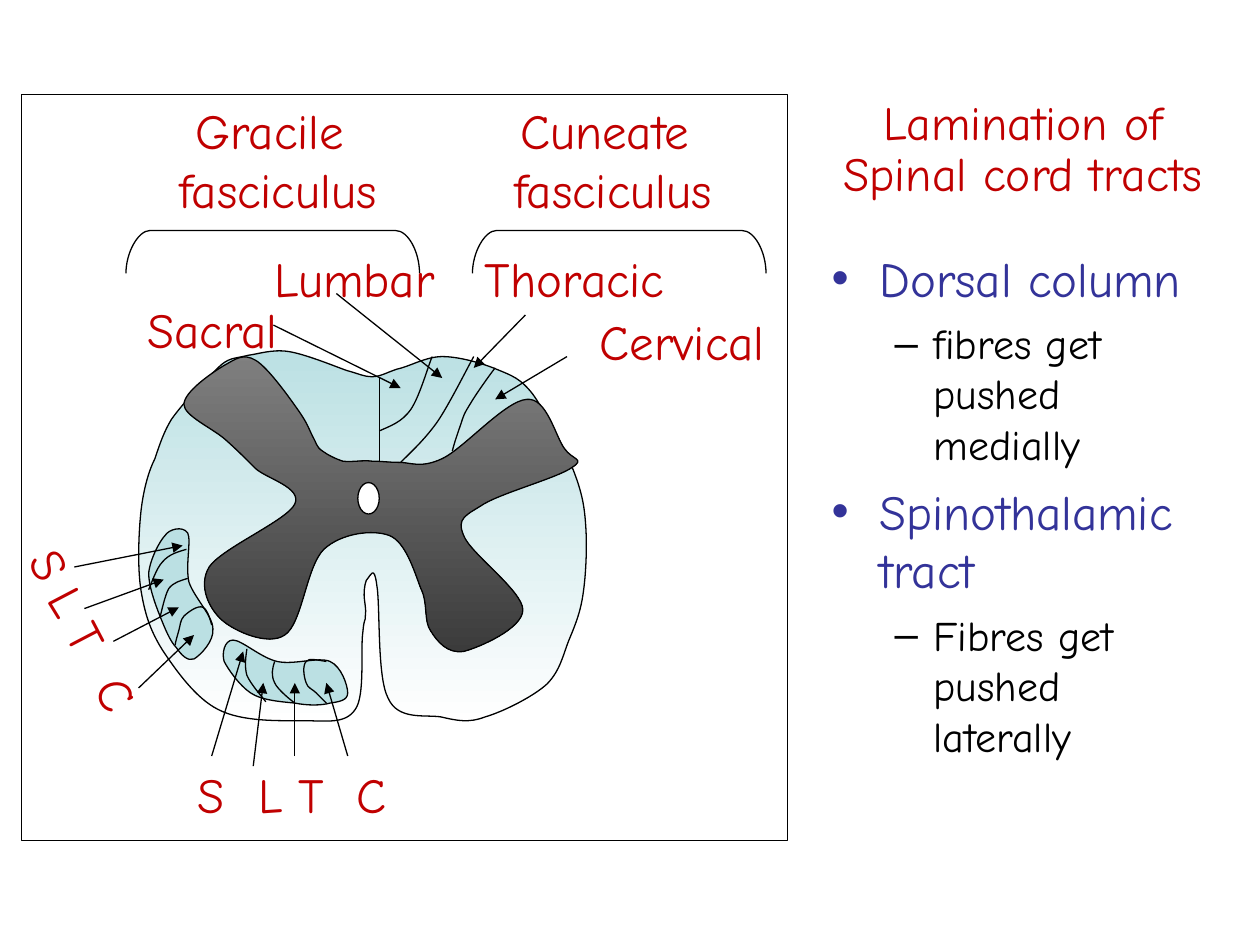
from lxml import etree
from pptx import Presentation
from pptx.dml.color import RGBColor
from pptx.enum.shapes import MSO_CONNECTOR, MSO_SHAPE
from pptx.enum.text import MSO_ANCHOR, MSO_AUTO_SIZE, PP_ALIGN
from pptx.oxml.ns import qn
from pptx.util import Inches, Pt

STRAIGHT = MSO_CONNECTOR.STRAIGHT
RECT, OVAL = MSO_SHAPE.RECTANGLE, MSO_SHAPE.OVAL
LEFT, CENTER = PP_ALIGN.LEFT, PP_ALIGN.CENTER
TOP, MIDDLE = MSO_ANCHOR.TOP, MSO_ANCHOR.MIDDLE
GROW, FIXED = MSO_AUTO_SIZE.SHAPE_TO_FIT_TEXT, MSO_AUTO_SIZE.NONE

THEME = {
    "font": "Comic Neue", "label": "C00000", "head": "333399", "ink": "000000",
    "paper": "FFFFFF", "tract": "BBE0E3", "grey": ("808080", "3B3B3B"),
    "white": ("BBE0E3", "FFFFFF"), "title_pt": 27.2, "main_pt": 28, "sub_pt": 24,
    "line_pt": 0.75,
}

prs = Presentation()
prs.slide_width, prs.slide_height = Inches(10), Inches(7.5)
CELL = prs.slide_width // 1000  # the slide is a grid of 1000 columns by 750 rows
s = prs.slides.add_slide(prs.slide_layouts[1])


def write(p, text, size=THEME["main_pt"], color=THEME["label"], align=LEFT,
          before=0, spacing=1.0, bullet=None, indent=(0, 0), tabs=()):
    """Fill a paragraph with one run; indent and tabs are in grid cells."""
    p.alignment, p.space_before, p.line_spacing = align, Pt(before), spacing
    pPr = p._p.get_or_add_pPr()
    if bullet:
        pPr.set("marL", str(indent[0] * CELL))
        pPr.set("indent", str(indent[1] * CELL))
        clr = etree.SubElement(pPr, qn("a:buClr"))
        etree.SubElement(clr, qn("a:srgbClr"), val=color)
        etree.SubElement(pPr, qn("a:buChar"), char=bullet)
    if tabs:
        tab_list = etree.SubElement(pPr, qn("a:tabLst"))
        for tab in tabs:
            etree.SubElement(tab_list, qn("a:tab"), pos=str(tab * CELL), algn="l")
    r = p.add_run()
    r.text = text
    r.font.name, r.font.size = THEME["font"], Pt(size)
    r.font.color.rgb = RGBColor.from_string(color)


def draw_curve(start, curves, fill=None):
    """Draw chained cubic curves, six numbers each; a filled outline is closed."""
    points = [pair for c in curves for pair in zip(c[::2], c[1::2])]
    builder = s.shapes.build_freeform(*start, scale=CELL)
    builder.add_line_segments(points, close=fill is not None)
    sp = builder.convert_to_shape()
    steps = sp._element.findall(".//" + qn("a:lnTo"))
    for i in range(0, len(points), 3):
        bezier = etree.Element(qn("a:cubicBezTo"))
        steps[i].addprevious(bezier)
        for step in steps[i:i + 3]:
            bezier.append(step[0])
            step.getparent().remove(step)
    sp.shadow.inherit = False
    sp.line.color.rgb = RGBColor.from_string(THEME["ink"])
    sp.line.width = Pt(THEME["line_pt"])
    if fill is None:
        sp.fill.background()
    elif isinstance(fill, str):
        sp.fill.solid()
        sp.fill.fore_color.rgb = RGBColor.from_string(fill)
    else:
        sp.fill.gradient()
        sp.fill.gradient_angle = 270
        for stop, color in zip(sp.fill.gradient_stops, fill):
            stop.color.rgb = RGBColor.from_string(color)


# Title and list
title, body = s.shapes.title, s.placeholders[1]
for sp, box, anchor in ((title, (658, 47, 308, 145), MIDDLE),
                        (body, (650, 192, 317, 495), TOP)):
    sp.left, sp.top, sp.width, sp.height = (v * CELL for v in box)
    tf = sp.text_frame
    tf.word_wrap, tf.auto_size, tf.vertical_anchor = True, FIXED, anchor
write(title.text_frame.paragraphs[0], "Lamination of Spinal cord tracts",
      size=THEME["title_pt"], align=CENTER, spacing=0.9)
tf = body.text_frame
for i, (head, detail) in enumerate((
        ("Dorsal column", "fibres get pushed medially"),
        ("Spinothalamic tract", "Fibres get pushed laterally"))):
    p = tf.add_paragraph() if i else tf.paragraphs[0]
    write(p, head, color=THEME["head"], before=7 if i else 0,
          bullet="•", indent=(38, -38))
    p = tf.add_paragraph()
    p.level = 1
    write(p, detail, size=THEME["sub_pt"], color=THEME["ink"], before=6,
          bullet="–", indent=(81, -31))

# Frame, cord, grey matter and central canal
WHITE_MATTER = (
    (127, 352, 130, 343, 136, 333), (143, 323, 154, 311, 160, 305),
    (166, 298, 168, 297, 171, 294), (175, 290, 177, 288, 181, 286),
    (185, 284, 189, 284, 197, 282), (205, 281, 216, 277, 229, 279),
    (242, 281, 264, 290, 275, 294), (286, 297, 289, 299, 295, 299),
    (302, 299, 306, 296, 315, 293), (325, 291, 338, 283, 351, 283),
    (364, 283, 382, 288, 394, 293), (406, 298, 413, 300, 423, 313),
    (433, 327, 448, 356, 455, 373), (462, 391, 464, 402, 465, 419),
    (466, 435, 465, 456, 463, 470), (461, 485, 457, 495, 452, 507),
    (447, 519, 445, 532, 434, 543), (423, 553, 399, 565, 385, 569),
    (372, 574, 363, 572, 350, 569), (337, 567, 316, 572, 308, 554),
    (299, 537, 302, 480, 299, 464), (297, 448, 294, 457, 292, 459),
    (290, 460, 289, 467, 289, 472), (289, 477, 291, 484, 290, 489),
    (290, 494, 289, 490, 288, 502), (286, 515, 290, 552, 282, 563),
    (274, 575, 259, 572, 240, 572), (222, 572, 192, 573, 173, 563),
    (155, 554, 139, 531, 129, 516), (119, 500, 115, 487, 112, 469),
    (109, 451, 110, 423, 112, 405), (114, 388, 118, 374, 123, 364))
GREY_MATTER = (
    (213, 292, 230, 316, 237, 326), (244, 336, 245, 340, 248, 346),
    (251, 351, 251, 355, 256, 358), (260, 361, 266, 364, 272, 366),
    (279, 367, 288, 365, 295, 366), (303, 366, 308, 367, 317, 367),
    (326, 367, 334, 372, 351, 364), (368, 356, 401, 318, 418, 317),
    (434, 315, 441, 347, 448, 356), (454, 365, 465, 364, 454, 371),
    (443, 379, 399, 391, 384, 400), (370, 409, 362, 411, 368, 425),
    (373, 439, 415, 469, 415, 484), (415, 499, 380, 514, 368, 517),
    (355, 519, 347, 509, 342, 501), (336, 493, 340, 479, 334, 467),
    (329, 454, 322, 430, 309, 425), (296, 420, 271, 423, 257, 436),
    (243, 450, 240, 495, 226, 504), (213, 513, 186, 501, 176, 492),
    (166, 483, 157, 465, 166, 450), (176, 435, 228, 413, 234, 400),
    (240, 387, 212, 380, 203, 372), (194, 363, 188, 357, 179, 349),
    (169, 340, 146, 330, 146, 321), (146, 311, 168, 296, 178, 290),
    (187, 285, 193, 280, 203, 286))
for kind, box in ((RECT, (17, 75, 608, 592)), (OVAL, (284, 383, 17, 25))):
    sp = s.shapes.add_shape(kind, *(v * CELL for v in box))
    sp.shadow.inherit = False
    sp.fill.solid()
    sp.fill.fore_color.rgb = RGBColor.from_string(THEME["paper"])
    sp.line.color.rgb = RGBColor.from_string(THEME["ink"])
    sp.line.width = Pt(THEME["line_pt"])
    if kind == RECT:
        draw_curve((123, 364), WHITE_MATTER, THEME["white"])
        draw_curve((203, 286), GREY_MATTER, THEME["grey"])

# Spinothalamic tracts: ventral, then lateral
draw_curve((185, 508), (
    (192, 508, 207, 522, 220, 525), (233, 528, 253, 521, 262, 525),
    (271, 529, 276, 544, 276, 550), (276, 556, 269, 557, 262, 558),
    (255, 560, 244, 560, 234, 558), (224, 557, 208, 556, 199, 550),
    (190, 544, 181, 531, 178, 525), (176, 519, 178, 508, 185, 508)), THEME["tract"])
draw_curve((149, 423), (
    (152, 429, 147, 449, 150, 462), (154, 474, 169, 489, 169, 499),
    (170, 509, 159, 520, 154, 523), (149, 525, 144, 520, 140, 514),
    (135, 509, 131, 499, 127, 489), (123, 479, 118, 465, 118, 455),
    (119, 444, 127, 429, 131, 425), (134, 420, 145, 417, 149, 423)), THEME["tract"])

# Borders between the laminae: dorsal, ventral, lateral
for start, *curves in (
        ((301, 342), (310, 338, 319, 335, 326, 325), (333, 315, 340, 290, 343, 283)),
        ((318, 367), (327, 358, 337, 349, 347, 335), (356, 322, 371, 292, 376, 283)),
        ((359, 358), (361, 350, 364, 342, 366, 336), (368, 330, 368, 329, 373, 321),
         (377, 314, 389, 297, 393, 292)),
        ((259, 525), (252, 524, 245, 522, 243, 525), (240, 528, 241, 537, 243, 542),
         (244, 546, 248, 547, 251, 550), (254, 553, 258, 557, 259, 558)),
        ((218, 525), (216, 531, 215, 536, 218, 542), (220, 547, 231, 556, 234, 558)),
        ((196, 515), (195, 522, 194, 529, 196, 536), (199, 543, 208, 553, 211, 557)),
        ((168, 496), (166, 489, 164, 483, 161, 482), (157, 480, 149, 486, 146, 489),
         (143, 492, 143, 497, 142, 500), (141, 504, 139, 510, 139, 512)),
        ((149, 459), (143, 461, 138, 462, 134, 467), (131, 472, 128, 486, 127, 490)),
        ((148, 436), (141, 438, 134, 440, 129, 446), (124, 451, 120, 464, 118, 468))):
    draw_curve(start, curves)

# Brackets over the two fasciculi
for x in (100, 375):
    draw_curve((x + 233, 217), ((x + 233, 200, x + 224, 183, x + 214, 183),
                                (x + 214, 183, x + 19, 183, x + 19, 183),
                                (x + 10, 183, x, 200, x, 217)))

# Labels
for lines, box, align, wrap, turn, tabs in (
        (["Sacral"], (107, 233, 124, 57), LEFT, False, 0, ()),
        (["Lumbar"], (208, 192, 167, 57), LEFT, True, 0, ()),
        (["Thoracic"], (375, 192, 217, 57), LEFT, True, 0, ()),
        (["Cervical"], (466, 242, 151, 57), LEFT, False, 0, ()),
        (["Gracile ", "fasciculus"], (132, 75, 177, 104), CENTER, False, 0, ()),
        (["Cuneate ", "fasciculus"], (398, 75, 177, 104), CENTER, False, 0, ()),
        (["S\tL\tT\tC"], (147, 602, 190, 57), LEFT, True, 0, (48, 80, 126)),
        (["S\tL\tT\tC"], (-17, 480, 177, 57), LEFT, True, 62.4, (34, 65, 114))):
    sp = s.shapes.add_textbox(*(v * CELL for v in box))
    sp.rotation = turn
    tf = sp.text_frame
    tf.word_wrap, tf.auto_size = wrap, GROW
    for i, line in enumerate(lines):
        p = tf.add_paragraph() if i else tf.paragraphs[0]
        write(p, line, align=align, tabs=tabs)

# Midline, then the arrows from the labels to the laminae
MIDLINE = (301, 300, 301, 367)
ARROWS = (
    (217, 258, 318, 308), (267, 233, 351, 300), (417, 250, 376, 292), (450, 283, 393, 317),
    (168, 600, 193, 517), (201, 608, 209, 542), (234, 600, 234, 542), (276, 600, 259, 542),
    (59, 450, 145, 433), (67, 483, 130, 460), (90, 509, 142, 482), (110, 546, 154, 504))
for ends in (MIDLINE, *ARROWS):
    line = s.shapes.add_connector(STRAIGHT, *(v * CELL for v in ends))
    line.line.color.rgb = RGBColor.from_string(THEME["ink"])
    line.line.width = Pt(THEME["line_pt"])
    if ends != MIDLINE:
        etree.SubElement(line.line._get_or_add_ln(), qn("a:tailEnd"), type="triangle")
    etree.SubElement(line._element.spPr, qn("a:effectLst"))

prs.save("out.pptx")
